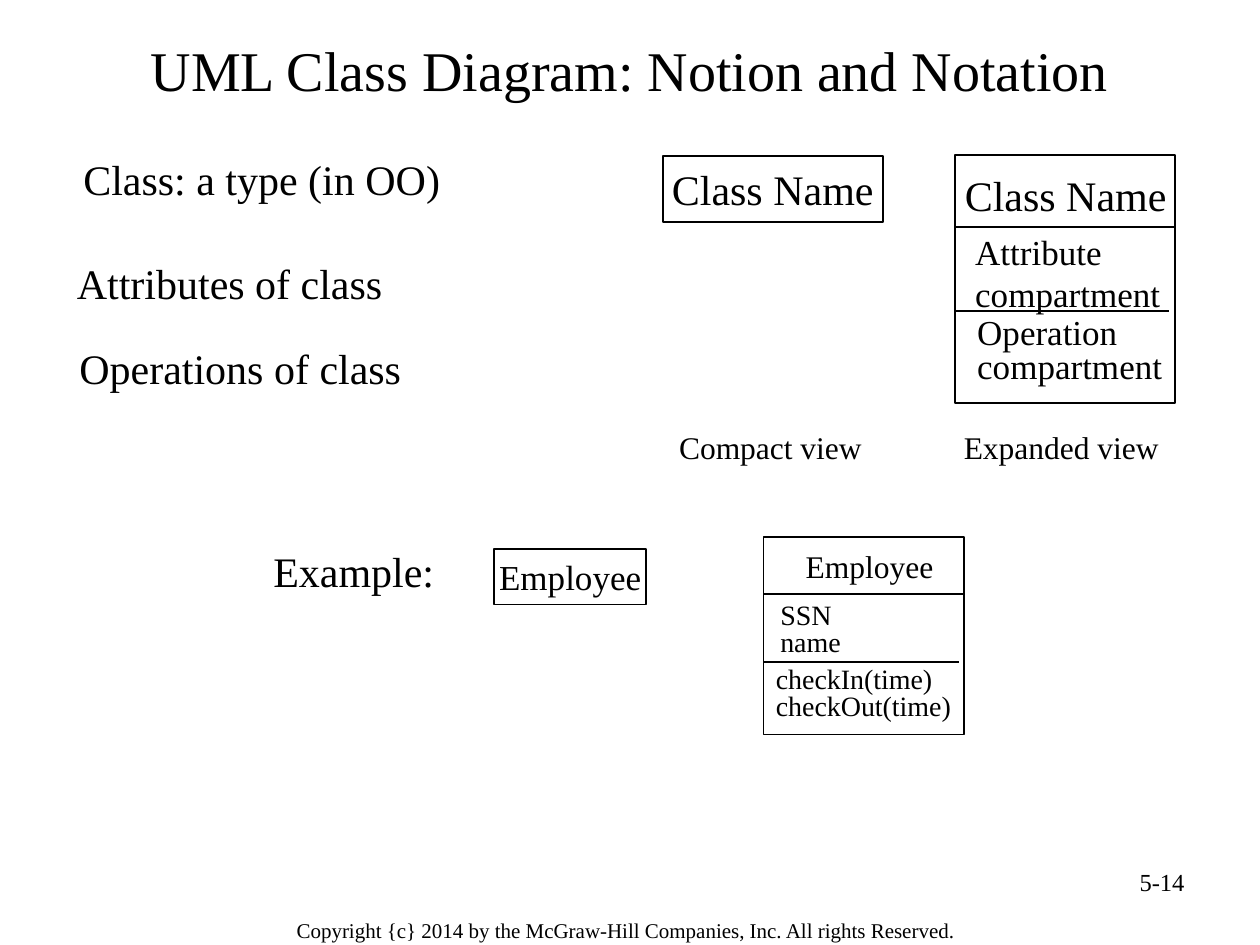
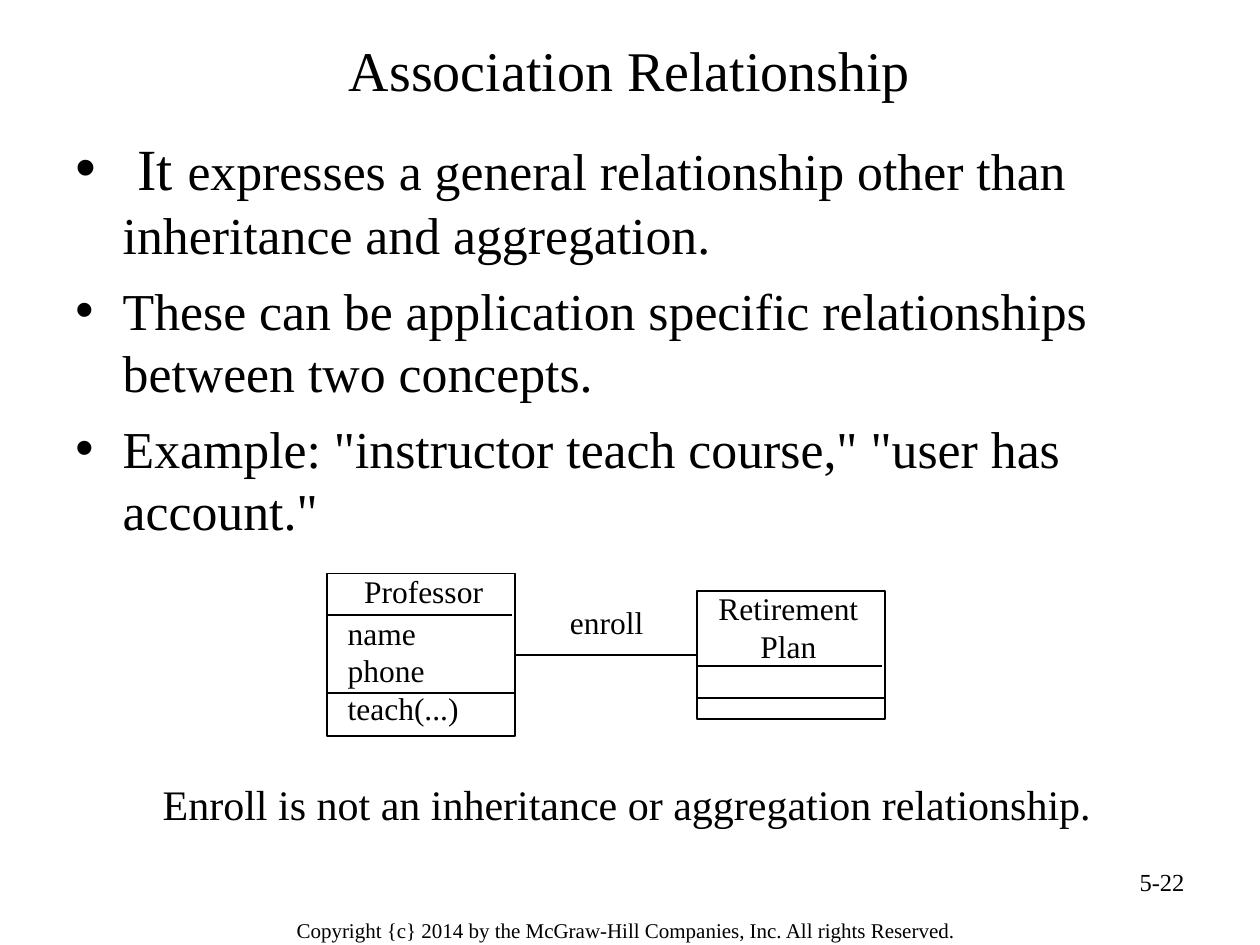
from dataclasses import dataclass

from lxml import etree
from pptx import Presentation
from pptx import util as u
from pptx.dml.color import RGBColor
from pptx.enum import shapes, text
from pptx.oxml.ns import qn


@dataclass(frozen=True)
class Theme:
    font: str = "Times New Roman"
    ink: RGBColor = RGBColor(0, 0, 0)
    paper: RGBColor = RGBColor(255, 255, 255)
    title: float = 32
    lead: float = 33.3
    list: float = 29.6
    large: float = 24
    mid: float = 20
    label: float = 18
    small: float = 16
    page: float = 14
    foot: float = 12


T = Theme()
LEFT, MID, RIGHT = text.PP_ALIGN.LEFT, text.PP_ALIGN.CENTER, text.PP_ALIGN.RIGHT
COPY = "Copyright {c} 2014 by the McGraw-Hill Companies, Inc. All rights Reserved."
COPY_AT = (4.76, 18.36, 15.72, 0.79)
PAGE_AT = (18.21, 17.35, 5.92, 1.32)
TITLE_AT = (1.27, 0.46, 22.86, 1.85)
BODY_AT = (1.27, 2.54, 22.58, 8.74)

FLAT = dict(pad=(0, 0))
VIEW = dict(size=T.label, gap=0.7)
PART = dict(size=T.small, gap=0.8)

DECK = [
    dict(
        title="UML Class Diagram: Notion and Notation",
        page="5-14",
        boxes=[
            dict(at=(13.36, 3.15, 4.44, 1.32), name="Class Name", size=T.large),
            dict(at=(19.25, 3.12, 4.44, 5), rules=[(4.58, 4.44), (6.27, 4.32)]),
            dict(at=(9.96, 11.07, 3.07, 1.12), name="Employee", size=T.mid),
            dict(at=(15.39, 10.82, 4.04, 3.99), rules=[(11.97, 4.04), (13.34, 3.94)]),
        ],
        notes=[
            (["Class: a type (in OO)"], (1.68, 3.1, 7.6, 1.02), FLAT),
            (["Attributes of class"], (1.55, 5.2, 6.6, 1.02), FLAT),
            (["Operations of class"], (1.6, 6.91, 6.9, 1.02), FLAT),
            (["Example:"], (5.51, 11, 3.6, 1.02), FLAT),
            (["Class Name"], (19.2, 3.28, 4.9, 1.27), {}),
            (["Attribute", "compartment"], (19.41, 4.52, 4.5, 1.96),
             dict(size=T.mid)),
            (["Operation", "compartment"], (19.45, 6.3, 4.5, 1.63),
             dict(size=T.mid, gap=0.8)),
            (["Compact view"], (13.44, 8.71, 4.5, 0.79), VIEW),
            (["Expanded view"], (19.18, 8.71, 4.75, 0.79), VIEW),
            (["Employee"], (15.5, 10.9, 4.06, 1.02), dict(size=T.label, align=MID)),
            (["SSN", "name"], (15.48, 12.04, 2.1, 1.35), PART),
            (["checkIn(time)", "checkOut(time)"], (15.39, 13.34, 4.32, 1.35), PART),
        ],
    ),
    dict(
        title="Association Relationship",
        page="5-22",
        body=[
            [(" It ", T.lead),
             ("expresses a general relationship other than inheritance and aggregation.",
              T.list)],
            "These can be application specific relationships between two concepts.",
            'Example: "instructor teach course," "user has account."',
        ],
        boxes=[
            dict(at=(6.6, 11.56, 3.79, 3.28), rules=[(12.4, 3.73), (13.97, 3.79)]),
            dict(at=(14.05, 11.91, 3.79, 2.58), rules=[(13.42, 3.73), (14.07, 3.79)]),
        ],
        link=(0, 1),
        notes=[
            (["Professor"], (6.76, 11.4, 3.56, 1.02), dict(size=T.label, align=MID)),
            (["name", "phone", "teach(...)"], (6.76, 12.24, 3.56, 2.5),
             dict(size=T.label)),
            (["Retirement Plan"], (14, 11.74, 3.79, 1.78),
             dict(size=T.label, align=MID)),
            (["enroll"], (11.24, 12.02, 2.4, 1.02), dict(size=T.label)),
            (["Enroll is not an inheritance or aggregation relationship."],
             (3.03, 15.76, 19.7, 1.07), dict(gap=0.8)),
        ],
    ),
]


def cm(at):
    return [u.Cm(n) for n in at]


def write(frame, paras, size=T.large, align=LEFT, gap=None, before=0,
          pad=(0.25, 0.13), wrap=True, anchor=text.MSO_ANCHOR.TOP,
          fit=text.MSO_AUTO_SIZE.NONE):
    frame.word_wrap = wrap
    frame.auto_size = fit
    frame.vertical_anchor = anchor
    frame.margin_left = frame.margin_right = u.Cm(pad[0])
    frame.margin_top = frame.margin_bottom = u.Cm(pad[1])
    for i, words in enumerate(paras):
        para = frame.add_paragraph() if i else frame.paragraphs[0]
        para.alignment = align
        para.space_before = u.Pt(before if i else 0)
        if gap:
            para.line_spacing = gap
        for part, pts in [(words, size)] if isinstance(words, str) else words:
            run = para.add_run()
            run.text = part
            run.font.size = u.Pt(pts)
            run.font.name = T.font
            run.font.color.rgb = T.ink


def place(shape, at):
    shape.left, shape.top, shape.width, shape.height = cm(at)
    return shape.text_frame


def note(slide, paras, at, **form):
    box = slide.shapes.add_textbox(*cm(at))
    write(box.text_frame, paras, fit=text.MSO_AUTO_SIZE.SHAPE_TO_FIT_TEXT, **form)


def rule(slide, x1, y1, x2, y2):
    line = slide.shapes.add_connector(
        shapes.MSO_CONNECTOR.STRAIGHT, *cm((x1, y1, x2, y2)))
    line.line.color.rgb = T.ink
    line.line.width = u.Pt(1)
    etree.SubElement(line._element.spPr, qn("a:effectLst"))
    return line


def draw(slide, at, rules=(), name=None, size=T.large):
    box = slide.shapes.add_shape(shapes.MSO_SHAPE.RECTANGLE, *cm(at))
    box.shadow.inherit = False
    box.fill.solid()
    box.fill.fore_color.rgb = T.paper
    box.line.color.rgb = T.ink
    box.line.width = u.Pt(1)
    if name:
        write(box.text_frame, [name], size=size, align=MID, wrap=False,
              anchor=text.MSO_ANCHOR.MIDDLE)
    for y, wide in rules:
        rule(slide, at[0], y, at[0] + wide, y)
    return box


def build(deck, page):
    body = page.get("body")
    slide = deck.slides.add_slide(deck.slide_layouts[1 if body else 5])
    write(place(slide.shapes.title, TITLE_AT), [page["title"]], size=T.title,
          align=MID, anchor=text.MSO_ANCHOR.MIDDLE)
    if body:
        write(place(slide.placeholders[1], BODY_AT), body, size=T.list, before=8)
    note(slide, [COPY], COPY_AT, size=T.foot, align=MID)
    note(slide, [page["page"]], PAGE_AT, size=T.page, align=RIGHT)
    boxes = [draw(slide, **box) for box in page["boxes"]]
    if "link" in page:
        start, end = (boxes[i] for i in page["link"])
        line = rule(slide, 0, 0, 1, 1)
        line.begin_connect(start, 3)
        line.end_connect(end, 1)
    for paras, at, form in page["notes"]:
        note(slide, paras, at, **form)


def main():
    deck = Presentation()
    deck.slide_width, deck.slide_height = u.Cm(25.4), u.Cm(19.05)
    for page in DECK:
        build(deck, page)
    deck.save("out.pptx")


if __name__ == "__main__":
    main()
